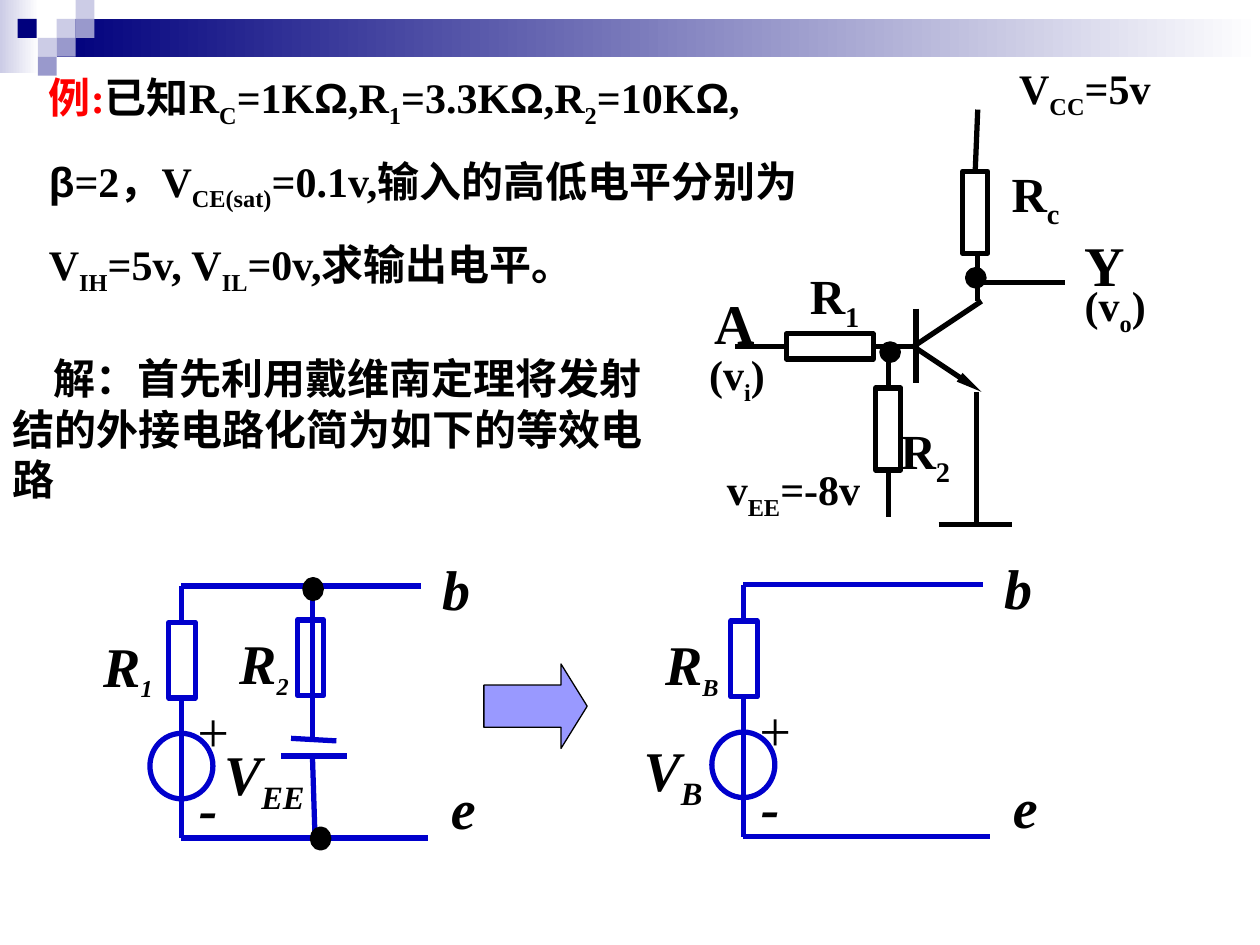
from lxml.etree import SubElement
from pptx import Presentation
from pptx.dml.color import RGBColor
from pptx.enum.shapes import MSO_CONNECTOR, MSO_SHAPE
from pptx.enum.text import MSO_AUTO_SIZE, PP_ALIGN
from pptx.oxml.ns import qn
from pptx.util import Inches, Pt

BLACK = RGBColor(0x00, 0x00, 0x00)
WHITE = RGBColor(0xFF, 0xFF, 0xFF)
RED = RGBColor(0xFF, 0x00, 0x00)
BLUE = RGBColor(0x00, 0x00, 0xCC)
NAVY = RGBColor(0x00, 0x00, 0x7D)
PALE = RGBColor(0xCC, 0xCC, 0xE6)
LILAC = RGBColor(0x99, 0x99, 0xCC)
ARROW = RGBColor(0x99, 0x99, 0xFF)

presentation = Presentation()
presentation.slide_width = Inches(10)
presentation.slide_height = Inches(7.5)
slide = presentation.slides.add_slide(presentation.slide_layouts[6])


def add_shape(kind, box, fill, line=None, width=3):
    shape = slide.shapes.add_shape(kind, *[Inches(value) for value in box])
    shape.shadow.inherit = False
    if fill is None:
        shape.fill.background()
    else:
        shape.fill.solid()
        shape.fill.fore_color.rgb = fill
    if line is None:
        shape.line.fill.background()
    else:
        shape.line.color.rgb = line
        shape.line.width = Pt(width)
    return shape


def add_line(points, color, begin=None, end=None):
    connector = slide.shapes.add_connector(
        MSO_CONNECTOR.STRAIGHT, *[Inches(value) for value in points])
    connector.line.color.rgb = color
    connector.line.width = Pt(3)
    SubElement(connector._element.spPr, qn("a:effectLst"))
    if begin:
        connector.begin_connect(*begin)
    if end:
        connector.end_connect(*end)
    return connector


for box, color in [((0, 0, 0.31, 0.58), PALE), ((0.45, 0.15, 9.55, 0.3), NAVY)]:
    band = add_shape(MSO_SHAPE.RECTANGLE, box, WHITE)
    band.fill.gradient()
    band.fill.gradient_angle = 0
    for stop, stop_color in zip(band.fill.gradient_stops, (color, WHITE)):
        stop.color.rgb = stop_color

for left, top, color in [
    (0.45, 0.15, PALE), (0.6, 0, PALE), (0.6, 0.15, LILAC), (0.3, 0.3, PALE),
    (0.14, 0.15, NAVY), (0.45, 0.3, LILAC), (0.3, 0.45, LILAC),
]:
    add_shape(MSO_SHAPE.RECTANGLE, (left, top, 0.15, 0.15), color)

collector_resistor = add_shape(MSO_SHAPE.RECTANGLE, (7.64, 1.36, 0.2, 0.65), None, BLACK)
input_resistor = add_shape(MSO_SHAPE.RECTANGLE, (6.24, 2.65, 0.69, 0.2), None, BLACK)
bias_resistor = add_shape(MSO_SHAPE.RECTANGLE, (6.95, 3.08, 0.2, 0.65), None, BLACK)

add_line((7.74, 1.36, 7.76, 0.87), BLACK, begin=(collector_resistor, 0))
add_line((6.24, 2.75, 5.83, 2.75), BLACK, begin=(input_resistor, 1))
add_line((7.25, 2.75, 6.93, 2.75), BLACK, end=(input_resistor, 3))
add_line((7.05, 2.73, 7.05, 3.08), BLACK, end=(bias_resistor, 0))
add_line((7.05, 3.73, 7.05, 4.1), BLACK, begin=(bias_resistor, 2))
for points in [
    (7.76, 1.99, 7.76, 2.39), (7.27, 2.45, 7.27, 3.04), (7.25, 2.75, 7.79, 2.39),
    (7.77, 2.24, 8.45, 2.24), (7.75, 3.11, 7.75, 4.18), (7.45, 4.16, 8.03, 4.16),
]:
    add_line(points, BLACK)
emitter = add_line((7.25, 2.75, 7.79, 3.11), BLACK)
SubElement(emitter.line._get_or_add_ln(), qn("a:tailEnd"),
           type="triangle", w="sm", len="lg")
for left, top in [(7.68, 2.14), (7, 2.73)]:
    add_shape(MSO_SHAPE.OVAL, (left, top, 0.13, 0.13), BLACK, BLACK)

texts = [
    (7.93, 1.25, 0.63, 0.63, 28, 28, False, [["R", "_c"]]),
    (8.51, 2.17, 0.94, 0.56, 24, 24, False, [["(v", "_o", ")"]]),
    (8.51, 1.78, 0.64, 0.64, 32, 32, False, [["Y"]]),
    (7.99, 0.45, 1.39, 0.56, 24, 24, False, [["V", "_CC", "=5v"]]),
    (6.33, 2.06, 0.63, 0.63, 28, 28, False, [["R", "_1"]]),
    (5.57, 2.24, 0.48, 0.64, 32, 32, False, [["A"]]),
    (5.67, 3.63, 1.34, 0.56, 24, 24, False, [["v", "_EE", "=-8v"]]),
    (5.53, 2.72, 0.94, 0.56, 24, 24, False, [["(v", "_i", ")"]]),
    (7.05, 3.29, 0.63, 0.63, 28, 28, False, [["R", "_2"]]),
    (0.29, 0.52, 6.54, 1.88, 24, 24, False, [
        ["例:", "已知R", "_C", "=1K", "Ω", ",R", "_1", "=3.3K", "Ω", ",R", "_2",
         "=10K", "Ω", ","],
        ["β", "=2，V", "_CE(sat)", "=0.1v,输入的高低电平分别为"],
        ["V", "_IH", "=5v, V", "_IL", "=0v,求输出电平。"],
    ]),
    (0, 2.75, 5.44, 1.3, 24, 24, False,
     [["解：首先利用戴维南定理将发射结的外接电路化简为如下的等效电路"]]),
    (0.72, 4.96, 0.59, 0.67, 32, 24, True, [["R", "_1"]]),
    (1.8, 4.94, 0.59, 0.67, 32, 24, True, [["R", "_2"]]),
    (1.68, 5.82, 0.84, 0.71, 32, 32, True, [["V", "_EE"]]),
    (5.18, 4.95, 0.68, 0.67, 32, 24, True, [["R", "_B"]]),
    (5.01, 5.79, 0.7, 0.71, 32, 32, True, [["V", "_B"]]),
]

for x, y in [(1.44, 4.65), (5.9, 4.64)]:
    add_shape(MSO_SHAPE.OVAL, (x - 0.25, y + 1.17, 0.5, 0.52), WHITE, BLUE)
    for points in [
        (x, y + 1.08, x, y + 2), (x, y, x, y + 1.32),
        (x, y, x + 1.9, y), (x, y + 2, x + 1.96, y + 2),
    ]:
        add_line(points, BLUE)
    add_shape(MSO_SHAPE.RECTANGLE, (x - 0.1, y + 0.29, 0.21, 0.6), WHITE, BLUE)
    for label, dx, dy, width in [
        ("b", 1.97, -0.3, 0.42), ("e", 2.04, 1.44, 0.4),
        ("+", 0, 0.83, 0.5), ("-", 0.04, 1.44, 0.35),
    ]:
        texts.append((x + dx, y + dy, width, 0.64, 32, 32, True, [[label]]))

add_shape(MSO_SHAPE.RECTANGLE, (2.36, 4.92, 0.21, 0.6), WHITE, BLUE)
for points in [
    (2.31, 5.86, 2.67, 5.88), (2.23, 6, 2.75, 6),
    (2.48, 4.63, 2.48, 5.86), (2.48, 6.01, 2.5, 6.64),
]:
    add_line(points, BLUE)
for left, top in [(2.48, 6.58), (2.42, 4.6)]:
    add_shape(MSO_SHAPE.OVAL, (left, top, 0.13, 0.15), BLACK, BLACK)

arrow = add_shape(MSO_SHAPE.RIGHT_ARROW, (3.84, 5.27, 0.82, 0.67), ARROW, BLACK, 0.75)
arrow.adjustments[0] = 0.5
arrow.adjustments[1] = 0.31

for left, top, width, height, size, subscript_size, italic, paragraphs in texts:
    text_box = slide.shapes.add_textbox(
        Inches(left), Inches(top), Inches(width), Inches(height))
    frame = text_box.text_frame
    frame.word_wrap = not italic
    frame.auto_size = MSO_AUTO_SIZE.SHAPE_TO_FIT_TEXT
    for index, pieces in enumerate(paragraphs):
        paragraph = frame.add_paragraph() if index else frame.paragraphs[0]
        paragraph.alignment = PP_ALIGN.LEFT
        if index:
            paragraph.space_before = Pt(15)
        if pieces[0].startswith("解"):
            paragraph._p.get_or_add_pPr().set("indent", str(Inches(0.33)))
        for piece in pieces:
            subscript = piece.startswith("_")
            run = paragraph.add_run()
            run.text = piece.lstrip("_")
            run.font.name = "Arial" if piece in ("Ω", "β") else "Times New Roman"
            run.font.size = Pt(subscript_size if subscript else size)
            run.font.bold = piece != "+"
            run.font.italic = italic
            run.font.color.rgb = RED if piece == "例:" else BLACK
            if subscript:
                run.font._element.set("baseline", "-25000")

presentation.save("out.pptx")
